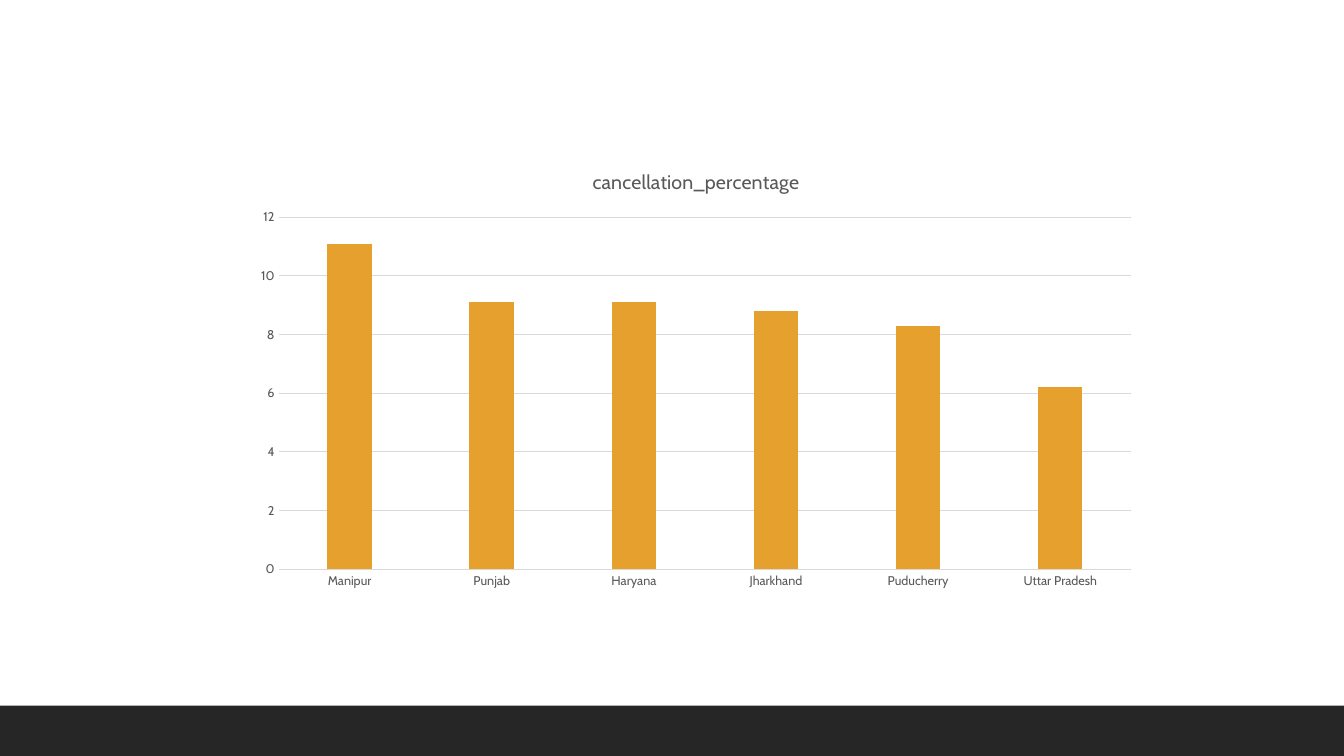
from dataclasses import dataclass

from pptx import Presentation, util as u
from pptx.chart.data import CategoryChartData
from pptx.dml.color import RGBColor
from pptx.enum import chart as charts, shapes


@dataclass(frozen=True)
class Theme:
    font: str = "Cabin"
    band: str = "262626"
    label: str = "595959"
    rule: str = "D9D9D9"
    bar: str = "E6A02E"
    title_size: int = 14
    label_size: int = 9
    rule_width: float = 0.75


class SlideBuilder:
    def __init__(self, page, theme):
        self.page = page
        self.theme = theme

    def fill(self, item, color):
        item.fill.solid()
        item.fill.fore_color.rgb = RGBColor.from_string(color)

    def style_font(self, font, size):
        font.name = self.theme.font
        font.size = u.Pt(size)
        font.bold = False
        font.color.rgb = RGBColor.from_string(self.theme.label)

    def style_rule(self, line):
        line.color.rgb = RGBColor.from_string(self.theme.rule)
        line.width = u.Pt(self.theme.rule_width)

    def style_axis(self, axis):
        axis.major_tick_mark = charts.XL_TICK_MARK.NONE
        axis.minor_tick_mark = charts.XL_TICK_MARK.NONE
        self.style_font(axis.tick_labels.font, self.theme.label_size)

    def band(self, left, top, width, height):
        band = self.page.shapes.add_shape(
            shapes.MSO_SHAPE.RECTANGLE, *map(u.Inches, (left, top, width, height))
        )
        band.shadow.inherit = False
        self.fill(band, self.theme.band)
        band.line.fill.background()

    def column_chart(self, left, top, width, height, title, values):
        data = CategoryChartData()
        data.categories = list(values)
        data.add_series(title, list(values.values()))
        chart = self.page.shapes.add_chart(
            charts.XL_CHART_TYPE.COLUMN_CLUSTERED,
            *map(u.Inches, (left, top, width, height)),
            data,
        ).chart
        self.style_font(chart.font, self.theme.label_size)
        chart.has_legend = False

        chart.has_title = True
        chart.chart_title.include_in_layout = False
        span = chart.chart_title.text_frame.paragraphs[0].add_run()
        span.text = title
        self.style_font(span.font, self.theme.title_size)

        self.style_axis(chart.category_axis)
        self.style_rule(chart.category_axis.format.line)
        value_axis = chart.value_axis
        self.style_axis(value_axis)
        value_axis.minimum_scale = 0
        value_axis.maximum_scale = 12
        value_axis.major_unit = 2
        value_axis.format.line.fill.background()
        self.style_rule(value_axis.major_gridlines.format.line)

        plot = chart.plots[0]
        plot.gap_width = 219
        plot.overlap = -27
        plot.vary_by_categories = False
        self.fill(plot.series[0].format, self.theme.bar)


def main():
    deck = Presentation()
    deck.slide_width = u.Inches(13.33)
    deck.slide_height = u.Inches(7.5)
    builder = SlideBuilder(deck.slides.add_slide(deck.slide_layouts[6]), Theme())
    builder.band(0, 7, 13.33, 0.5)
    builder.column_chart(
        2.41, 1.49, 8.99, 4.44,
        "cancellation_percentage",
        {
            "Manipur": 11.1,
            "Punjab": 9.1,
            "Haryana": 9.1,
            "Jharkhand": 8.8,
            "Puducherry": 8.3,
            "Uttar Pradesh": 6.2,
        },
    )
    deck.save("out.pptx")


if __name__ == "__main__":
    main()
